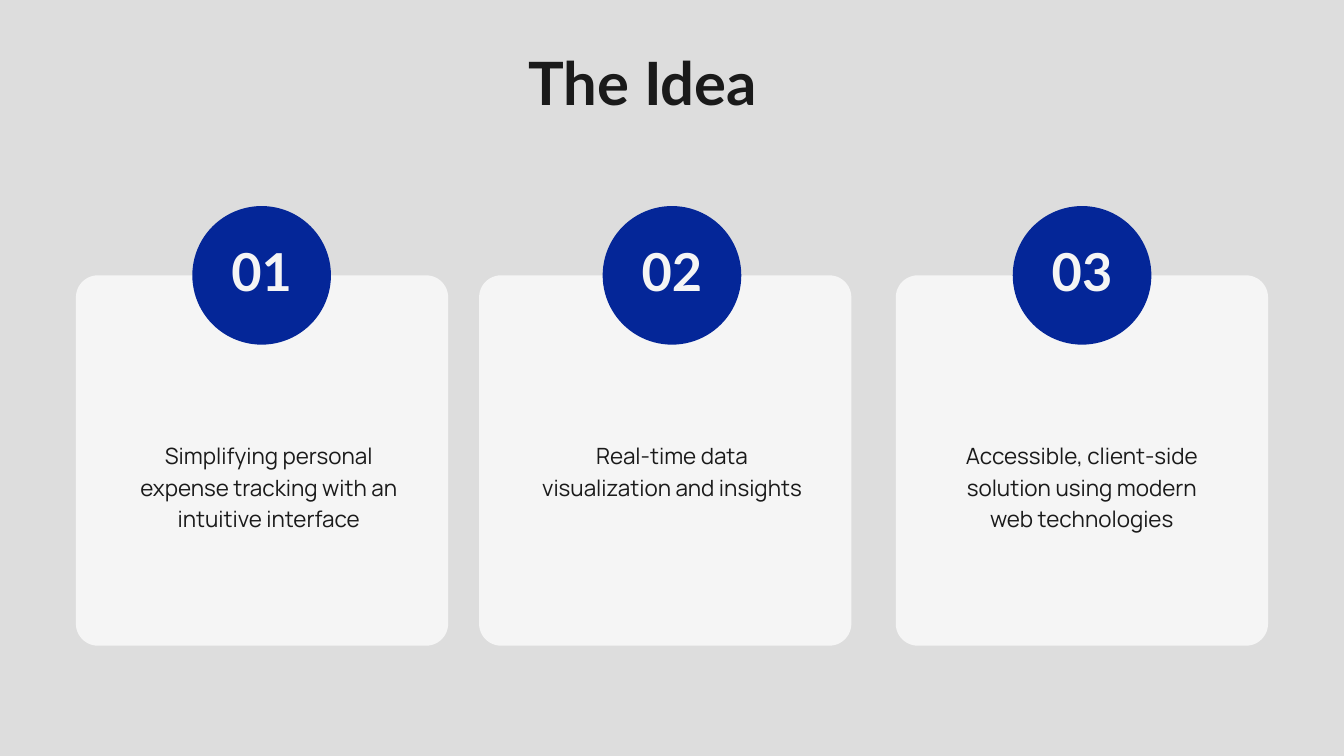
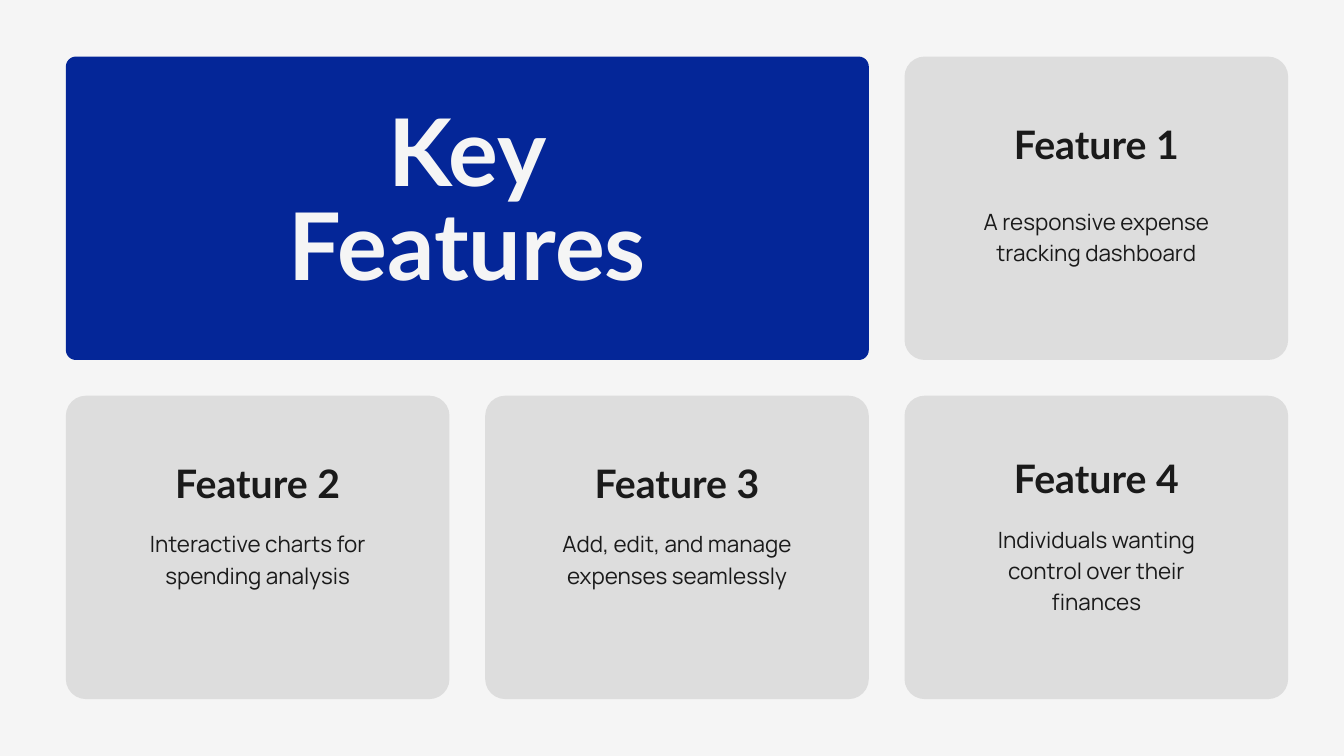
from pptx import Presentation
from pptx.dml.color import RGBColor
from pptx.enum.shapes import MSO_SHAPE as Shape
from pptx.enum.text import MSO_ANCHOR as Anchor, MSO_AUTO_SIZE as AutoSize, PP_ALIGN as Align
from pptx.util import Cm, Pt

BLUE, GREY, PALE, INK = "042698", "DDDDDD", "F5F5F5", "1A1A1A"
HEADING, BODY = "Lato", "Manrope"


def paint(fill, colour):
    """Give a fill one solid hex colour."""
    fill.solid()
    fill.fore_color.rgb = RGBColor.from_string(colour)


def add_panel(slide, box, colour, radius=None):
    """Add a rounded rectangle, or an ellipse when no radius is given."""
    kind = Shape.OVAL if radius is None else Shape.ROUNDED_RECTANGLE
    panel = slide.shapes.add_shape(kind, *map(Cm, box))
    if radius is not None:
        panel.adjustments[0] = radius / min(box[2:])
    panel.shadow.inherit = False
    paint(panel.fill, colour)
    panel.line.fill.background()
    return panel


def write(holder, text, size, leading, font=HEADING, colour=INK, bold=True):
    """Write centred text, one paragraph a line, into a text holder."""
    frame = holder.text_frame
    frame.word_wrap = True
    frame.auto_size = AutoSize.SHAPE_TO_FIT_TEXT
    frame.vertical_anchor = Anchor.TOP
    frame.margin_left = frame.margin_right = frame.margin_top = frame.margin_bottom = 0
    frame.text = text
    for paragraph in frame.paragraphs:
        paragraph.alignment = Align.CENTER
        paragraph.line_spacing = Pt(leading)
        paragraph.font.size = Pt(size)
        paragraph.font.name = font
        paragraph.font.bold = bold
        paint(paragraph.font.fill, colour)


def add_text(slide, box, text, **style):
    """Add a text box with formatted text."""
    write(slide.shapes.add_textbox(*map(Cm, box)), text, **style)


def add_description(slide, box, text):
    """Add the running text of a card."""
    add_text(slide, box, text, size=24, leading=33.6, font=BODY, bold=False)


def add_title(slide, box, text, **style):
    """Place the title placeholder in front of everything drawn so far."""
    title = slide.shapes.title
    title.left, title.top, title.width, title.height = map(Cm, box)
    write(title, text, **style)
    title.element.getparent().append(title.element)


def new_slide(deck, background):
    """Add a title-only slide with a plain background."""
    slide = deck.slides.add_slide(deck.slide_layouts[5])
    paint(slide.background.fill, background)
    return slide


def add_idea_card(slide, box, number, idea, badge_shift, idea_shift):
    """Draw a card with a numbered badge over its top edge and an idea inside."""
    left, top, width, height = box
    badge = 5.24
    badge_left = left + badge_shift
    add_panel(slide, box, PALE, radius=0.83)
    add_panel(slide, (badge_left, top - badge / 2, badge, badge), BLUE)
    add_text(slide, (badge_left + 0.48, top - 1.37, 4.28, 2.54), f"{number:02}",
             size=56, leading=67.2, colour=PALE)
    add_description(slide, (left + idea_shift, top + 6.15, 10.16, 3.5), idea)


def build_idea_slide(deck):
    """Build the slide with three numbered ideas."""
    slide = new_slide(deck, GREY)
    ideas = [
        (2.87, 4.4, 2.21, "Simplifying personal expense tracking with an intuitive interface"),
        (18.11, 4.67, 2.21, "Real-time data visualization and insights"),
        (33.86, 4.42, 1.95, "Accessible, client-side solution using modern web technologies"),
    ]
    for number, (left, badge_shift, idea_shift, idea) in enumerate(ideas, 1):
        add_idea_card(slide, (left, 10.41, 14.07, 14), number, idea, badge_shift, idea_shift)
    add_title(slide, (18.11, 1.75, 12.37, 2.92), "The Idea", size=64, leading=76.8)


def add_feature_card(slide, box, name, description, name_drop, description_drop):
    """Draw a card with a feature name and its description."""
    left, top, width, height = box
    add_panel(slide, box, GREY, radius=0.76)
    add_text(slide, (left + 0.55, top + name_drop, width - 1.1, 1.93), name,
             size=42, leading=50.4)
    add_description(slide, (left + 2.26, top + description_drop, width - 4.52, 2.34), description)


def build_features_slide(deck):
    """Build the grid of features with the title panel over two columns."""
    slide = new_slide(deck, PALE)
    left, top, width, height, gap = 2.49, 2.14, 14.5, 11.47, 1.35
    features = [
        (2, 0, 2.39, 5.56, "A responsive expense tracking dashboard"),
        (0, 1, 2.39, 4.93, "Interactive charts for spending analysis"),
        (1, 1, 2.39, 4.93, "Add, edit, and manage expenses seamlessly"),
        (2, 1, 2.21, 4.75, "Individuals wanting control over their finances"),
    ]
    for number, (column, row, name_drop, description_drop, description) in enumerate(features, 1):
        box = (left + column * (width + gap), top + row * (height + gap), width, height)
        add_feature_card(slide, box, f"Feature {number}", description, name_drop, description_drop)
    title_width = 2 * width + gap
    add_panel(slide, (left, top, title_width, height), BLUE, radius=0.38)
    add_title(slide, (left, top + 2.1, title_width, 7.5), "Key\nFeatures",
              size=100, leading=100, colour=PALE)


def main():
    """Build and save the deck."""
    deck = Presentation()
    deck.slide_width, deck.slide_height = Cm(50.8), Cm(28.58)
    build_idea_slide(deck)
    build_features_slide(deck)
    deck.save("out.pptx")


if __name__ == "__main__":
    main()
